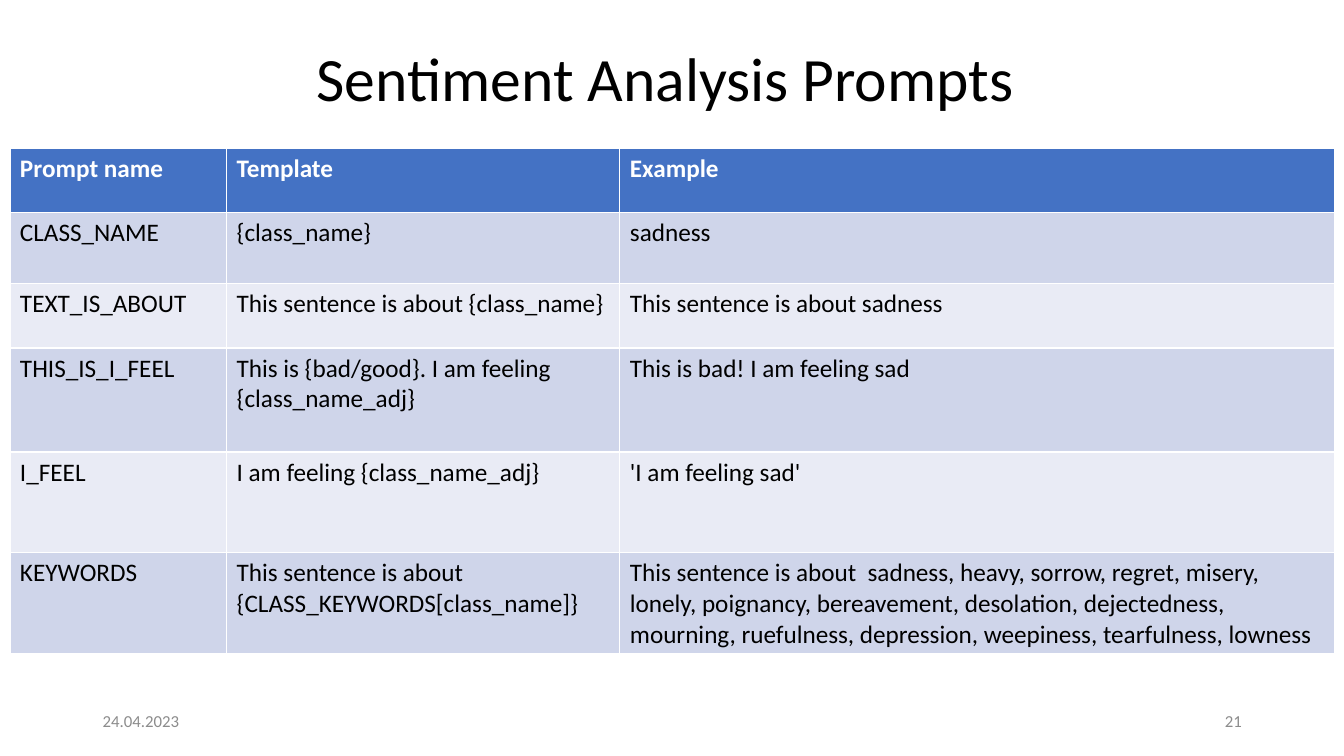
import pptx
import pptx.dml.color
import pptx.enum.text
from pptx.util import Cm, Pt

FONT = "Calibri"
WHITE, BLACK, GREY = "FFFFFF", "000000", "8C8C8C"
HEADER_FILL = "4472C4"
BAND_FILLS = ["E9EBF5", "CFD5EA"]
ALIGN = pptx.enum.text.PP_ALIGN
MIDDLE = pptx.enum.text.MSO_ANCHOR.MIDDLE

MARGIN = 2.34
COLUMN_WIDTHS = [5.46, 9.91, 18.01]
ROW_HEIGHTS = [1.63, 1.78, 1.63, 2.62, 2.54, 2.54]
PROMPTS = [
    ["Prompt name", "Template", "Example"],
    ["CLASS_NAME", "{class_name}", "sadness"],
    ["TEXT_IS_ABOUT", "This sentence is about {class_name}",
     "This sentence is about sadness"],
    ["THIS_IS_I_FEEL", "This is {bad/good}. I am feeling {class_name_adj}",
     "This is bad! I am feeling sad"],
    ["I_FEEL", "I am feeling {class_name_adj}", "'I am feeling sad'"],
    ["KEYWORDS", "This sentence is about {CLASS_KEYWORDS[class_name]}",
     "This sentence is about  sadness, heavy, sorrow, regret, misery, lonely, "
     "poignancy, bereavement, desolation, dejectedness, mourning, ruefulness, "
     "depression, weepiness, tearfulness, lowness"],
]


def rgb(color):
    return pptx.dml.color.RGBColor.from_string(color)


def write(tf, text, size, color, align=ALIGN.LEFT, bold=False):
    """Fill a text frame with one formatted paragraph."""
    tf.word_wrap = True
    p = tf.paragraphs[0]
    p.text = text
    p.alignment = align
    p.font.name = FONT
    p.font.size = Pt(size)
    p.font.bold = bold
    p.font.color.rgb = rgb(color)


def set_title(s, text):
    sp = s.shapes.title
    sp.left, sp.top, sp.width, sp.height = Cm(MARGIN), Cm(0.86), Cm(29.21), Cm(2.39)
    tf = sp.text_frame
    tf.auto_size = pptx.enum.text.MSO_AUTO_SIZE.NONE
    tf.vertical_anchor = MIDDLE
    write(tf, text, 44, BLACK, ALIGN.CENTER)
    tf.paragraphs[0].line_spacing = 0.9


def add_footer(s, text, left, align):
    tf = s.shapes.add_textbox(Cm(left), Cm(17.65), Cm(7.62), Cm(1.02)).text_frame
    tf.vertical_anchor = MIDDLE
    write(tf, text, 12, GREY, align)


def add_prompt_table(s):
    table = s.shapes.add_table(
        len(PROMPTS), len(COLUMN_WIDTHS), Cm(0.25), Cm(3.73),
        Cm(sum(COLUMN_WIDTHS)), Cm(sum(ROW_HEIGHTS))).table
    for column, width in zip(table.columns, COLUMN_WIDTHS):
        column.width = Cm(width)
    for i, (row, height) in enumerate(zip(table.rows, ROW_HEIGHTS)):
        row.height = Cm(height)
        header = i == 0
        for cell, text in zip(row.cells, PROMPTS[i]):
            cell.fill.solid()
            cell.fill.fore_color.rgb = rgb(HEADER_FILL if header else BAND_FILLS[i % 2])
            write(cell.text_frame, text, 18, WHITE if header else BLACK, bold=header)


def main():
    prs = pptx.Presentation()
    prs.slide_width, prs.slide_height = Cm(33.87), Cm(19.05)
    s = prs.slides.add_slide(prs.slide_layouts[5])
    set_title(s, "Sentiment Analysis Prompts ")
    add_footer(s, "24.04.2023", MARGIN, ALIGN.LEFT)
    add_footer(s, "21", 23.93, ALIGN.RIGHT)
    add_prompt_table(s)
    prs.save("out.pptx")


if __name__ == "__main__":
    main()
